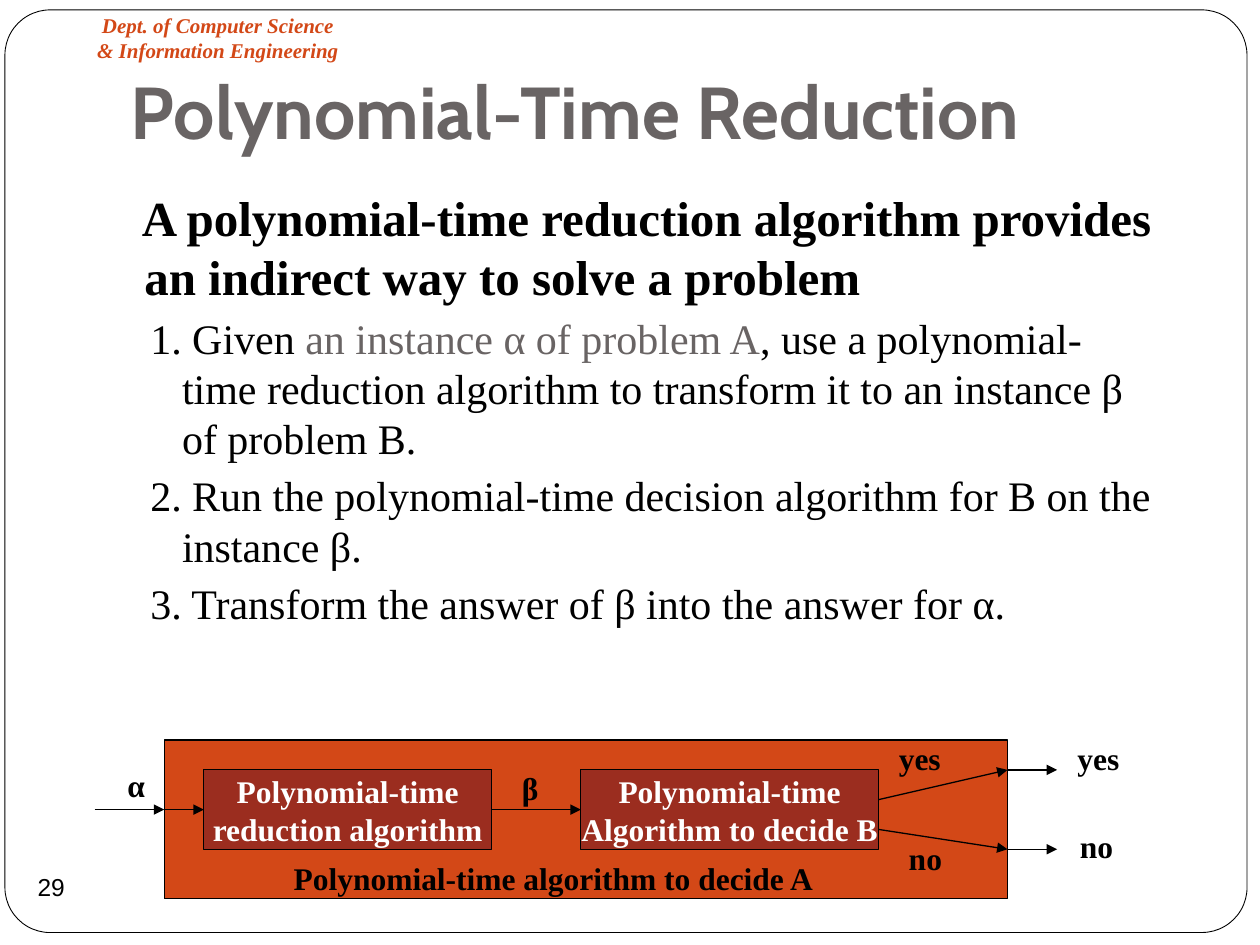
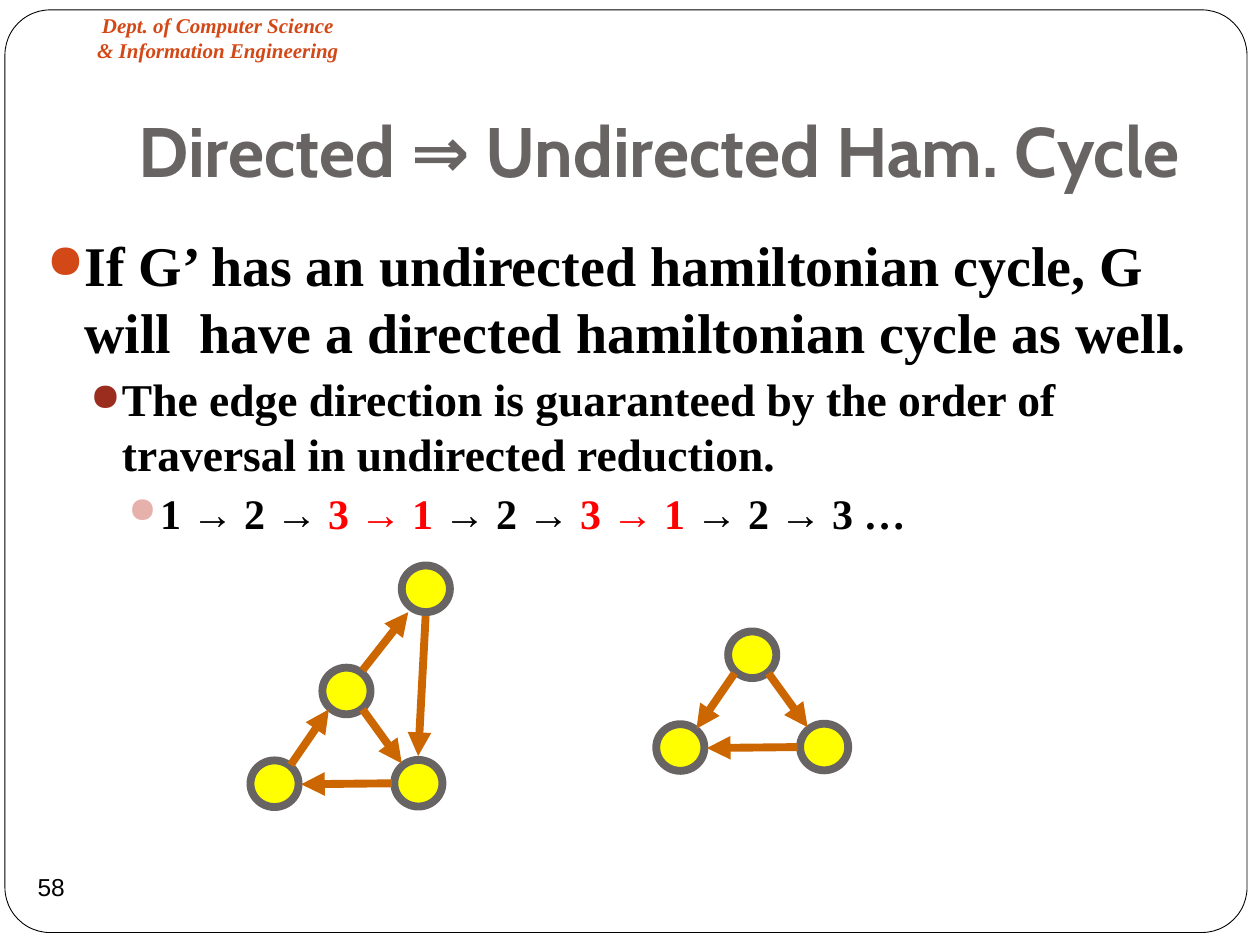
import pptx
import pptx.dml.color
import pptx.enum.shapes
import pptx.enum.text
import pptx.oxml.ns
import pptx.util
from lxml import etree

Cm, Pt = pptx.util.Cm, pptx.util.Pt
RGBColor = pptx.dml.color.RGBColor
SHAPE = pptx.enum.shapes.MSO_SHAPE
ALIGN = pptx.enum.text.PP_ALIGN
ANCHOR = pptx.enum.text.MSO_ANCHOR
qn = pptx.oxml.ns.qn

BLACK = RGBColor(0x00, 0x00, 0x00)
WHITE = RGBColor(0xFF, 0xFF, 0xFF)
GRAY = RGBColor(0x69, 0x64, 0x64)
ORANGE = RGBColor(0xD3, 0x48, 0x17)
BRICK = RGBColor(0x9B, 0x2D, 0x1F)
PINK = RGBColor(0xE6, 0xB1, 0xAB)
RED = RGBColor(0xFF, 0x00, 0x00)
YELLOW = RGBColor(0xFF, 0xFF, 0x00)
EDGE = RGBColor(0xCC, 0x66, 0x00)

SERIF = "Times New Roman"
DEPT = dict(name=SERIF, size=Pt(12), bold=True, italic=True, rgb=ORANGE)
NUMBER = dict(name="Arial", size=Pt(14), rgb=BLACK)
TITLE = dict(name="Cabin", bold=True, rgb=GRAY)
LABEL = dict(name=SERIF, size=Pt(18), bold=True, rgb=BLACK)
STEP_LABEL = dict(LABEL, rgb=WHITE)

# Left margin, first-line indent (cm) and space before (pt) by outline level
LEVELS = [(0.76, -0.76, 5.8), (1.52, -0.64, 3.8), (2.29, -0.64, 3.8)]
BULLETS = [ORANGE, BRICK, PINK]

NODE_W, NODE_H = 0.97, 0.94


def apply(obj, **values):
    for key, value in values.items():
        if key == "rgb":
            obj.color.rgb = value
        else:
            setattr(obj, key, value)


def cm_box(*lengths):
    return [Cm(v) for v in lengths]


def add_run(p, text, fmt):
    r = p.add_run()
    r.text = text
    apply(r.font, **fmt)


def write_lines(tf, lines, fmt, align):
    for i, line in enumerate(lines):
        p = tf.paragraphs[0] if i == 0 else tf.add_paragraph()
        p.alignment = align
        add_run(p, line, fmt)


def add_box(s, kind, box, fill=None, line=None, width=0.75):
    sp = s.shapes.add_shape(kind, *cm_box(*box))
    sp.shadow.inherit = False
    if fill is None:
        sp.fill.background()
    else:
        sp.fill.solid()
        sp.fill.fore_color.rgb = fill
    if line is None:
        sp.line.fill.background()
    else:
        apply(sp.line, rgb=line, width=Pt(width))
    return sp


def add_arrow(s, origin, start, end, color=BLACK, width=0.75):
    """Arrow between two points given in cm from the origin."""
    ends = [Cm(o + d) for point in (start, end) for o, d in zip(origin, point)]
    c = s.shapes.add_connector(pptx.enum.shapes.MSO_CONNECTOR.STRAIGHT, *ends)
    apply(c.line, rgb=color, width=Pt(width))
    sp_pr = c._element.spPr
    etree.SubElement(sp_pr.find(qn("a:ln")), qn("a:tailEnd"), type="triangle")
    etree.SubElement(sp_pr, qn("a:effectLst"))


def add_label(s, text, box):
    tf = s.shapes.add_textbox(*cm_box(*box)).text_frame
    tf.word_wrap = False
    write_lines(tf, [text], LABEL, ALIGN.LEFT)


def add_frame(s, number):
    """Rounded border, department name and page number."""
    border = add_box(s, SHAPE.ROUNDED_RECTANGLE, (0.1, 0.2, 25.04, 18.6), WHITE, BLACK, 0.5)
    border.adjustments[0] = 0.049
    border._element.getparent().insert(2, border._element)

    tf = s.shapes.add_textbox(*cm_box(1.5, 0.13, 5.79, 1.27)).text_frame
    tf.word_wrap = True
    write_lines(tf, ["Dept. of Computer Science", "& Information Engineering"],
                DEPT, ALIGN.CENTER)

    tf = add_box(s, SHAPE.OVAL, (0.4, 17.25, 1.27, 1.27)).text_frame
    apply(tf, margin_left=0, margin_right=0, margin_top=0, margin_bottom=0,
          word_wrap=False, vertical_anchor=ANCHOR.MIDDLE)
    write_lines(tf, [str(number)], NUMBER, ALIGN.CENTER)


def add_slide(prs, number, title, size, left, top):
    s = prs.slides.add_slide(prs.slide_layouts[5])
    sp = s.shapes.title
    apply(sp, left=Cm(left), top=Cm(top), width=Cm(21.59), height=Cm(2.82))
    apply(sp.text_frame, vertical_anchor=ANCHOR.BOTTOM, word_wrap=True,
          auto_size=pptx.enum.text.MSO_AUTO_SIZE.NONE,
          margin_left=Cm(0.25), margin_right=Cm(0.25),
          margin_top=Cm(0.13), margin_bottom=Cm(0.25))
    write_lines(sp.text_frame, [title], dict(TITLE, size=Pt(size)), ALIGN.LEFT)
    add_frame(s, number)
    return s


def add_bullet(p, color):
    p_pr = p._p.get_or_add_pPr()
    clr = etree.SubElement(p_pr, qn("a:buClr"))
    etree.SubElement(clr, qn("a:srgbClr"), val=str(color))
    etree.SubElement(p_pr, qn("a:buSzPct"), val="85000")
    etree.SubElement(p_pr, qn("a:buChar"), char="●")


def add_outline(s, box, items, bulleted):
    """Items are (level, size, bold, [(text, colour), ...])."""
    tf = s.shapes.add_textbox(*cm_box(*box)).text_frame
    tf.word_wrap = True
    for i, (level, size, bold, runs) in enumerate(items):
        p = tf.paragraphs[0] if i == 0 else tf.add_paragraph()
        margin, indent, before = LEVELS[level]
        if level == 0 and not bulleted:
            indent = -0.05
        apply(p, level=level, space_before=Pt(before))
        p_pr = p._p.get_or_add_pPr()
        p_pr.set("marL", str(Cm(margin)))
        p_pr.set("indent", str(Cm(indent)))
        if bulleted:
            add_bullet(p, BULLETS[level])
        for text, color in runs:
            add_run(p, text, dict(name=SERIF, size=Pt(size), bold=bold, rgb=color))


def add_decider(s, box):
    """Flow through the reduction and the algorithm for B inside the one for A."""
    left, top, width, height = box
    wire, yes, no = 1.4, 0.6, 2.2
    reduce_x, reduce_w = 0.8, 5.8
    decide_x, decide_w = 8.4, 6.0
    decide_end = decide_x + decide_w

    add_box(s, SHAPE.RECTANGLE, box, ORANGE, BLACK)
    for x, w, lines in [
        (reduce_x, reduce_w, ["Polynomial-time", "reduction algorithm"]),
        (decide_x, decide_w, ["Polynomial-time", "Algorithm to decide B"]),
    ]:
        sp = add_box(s, SHAPE.RECTANGLE, (left + x, top + yes, w, no - yes), BRICK, BLACK)
        apply(sp.text_frame, word_wrap=False, vertical_anchor=ANCHOR.MIDDLE)
        write_lines(sp.text_frame, lines, STEP_LABEL, ALIGN.CENTER)

    for start, end in [
        ((-1.4, wire), (0, wire)),
        ((0, wire), (reduce_x, wire)),
        ((reduce_x + reduce_w, wire), (decide_x, wire)),
        ((decide_end, 1.2), (width, yes)),
        ((decide_end, 1.8), (width, no)),
        ((width, yes), (width + 1, yes)),
        ((width, no), (width + 1, no)),
    ]:
        add_arrow(s, (left, top), start, end)

    for text, x, y, w in [
        ("Polynomial-time algorithm to decide A", 2.36, 2.28, 11.02),
        ("α", -0.99, 0.4, 0.91),
        ("β", 6.96, 0.45, 0.86),
        ("yes", 14.56, -0.14, 1.35),
        ("yes", 18.16, -0.14, 1.35),
        ("no", 14.76, 1.87, 1.19),
        ("no", 18.21, 1.62, 1.19),
    ]:
        add_label(s, text, (left + x, top + y, w, 1.02))


def add_graph(s, origin, nodes, edges):
    """Nodes and edges are placed from the corner of the triangle's apex."""
    left, top = origin
    for x, y in nodes:
        add_box(s, SHAPE.OVAL, (left + x, top + y, NODE_W, NODE_H), YELLOW, GRAY, 4.5)
    for start, end in edges:
        add_arrow(s, origin, start, end, EDGE, 4.5)


def build_reduction(prs):
    s = add_slide(prs, 29, "Polynomial-Time Reduction", 42, 2.39, 0.53)
    add_outline(s, (1.9, 3.66, 21.59, 11.91), [
        (0, 28, True, [("A polynomial-time reduction algorithm provides an indirect "
                        "way to solve a problem", BLACK)]),
        (1, 24, False, [("1. Given ", BLACK),
                        ("an instance α of problem A", GRAY),
                        (", use a polynomial-time reduction algorithm to transform "
                         "it to an instance β of problem B.", BLACK)]),
        (1, 24, False, [("2. Run the polynomial-time decision algorithm for B on the "
                         "instance β.", BLACK)]),
        (1, 24, False, [("3. Transform the answer of β into the answer for α.", BLACK)]),
    ], bulleted=False)
    add_decider(s, (3.31, 14.92, 17, 3.2))


def build_cycle(prs):
    s = add_slide(prs, 58, "Directed ⇒ Undirected Ham. Cycle", 40, 2.54, 1.3)
    add_outline(s, (0.69, 4.52, 24.08, 12.6), [
        (0, 32, True, [("If G’ has an undirected hamiltonian cycle, G will  have a "
                        "directed hamiltonian cycle as well.", BLACK)]),
        (1, 26, True, [("The edge direction is guaranteed by the order of traversal "
                        "in undirected reduction.", BLACK)]),
        (2, 24, True, [("1 → 2 → ", BLACK), ("3 → 1", RED), (" → 2 → ", BLACK),
                       ("3 → 1", RED), (" → 2 → 3 …", BLACK)]),
    ], bulleted=True)

    triangle = [(0, 0), (1.45, 1.86), (-1.45, 1.87)]
    shared = [((1.4, 2.33), (-0.43, 2.35)), ((0.81, 0.84), (1.6, 1.93))]
    apex_side, left_side = (0.13, 0.84), (-0.64, 1.96)
    add_graph(s, (6.5, 13.46), triangle + [(1.6, -2.06)], shared + [
        (left_side, apex_side),
        ((0.81, 0.05), (1.73, -1.12)),
        ((2.08, -1.04), (1.93, 1.78)),
    ])
    add_graph(s, (14.68, 12.73), triangle, shared + [(apex_side, left_side)])


def main():
    prs = pptx.Presentation()
    apply(prs, slide_width=Cm(25.4), slide_height=Cm(19.05))
    build_reduction(prs)
    build_cycle(prs)
    prs.save("out.pptx")


if __name__ == "__main__":
    main()
